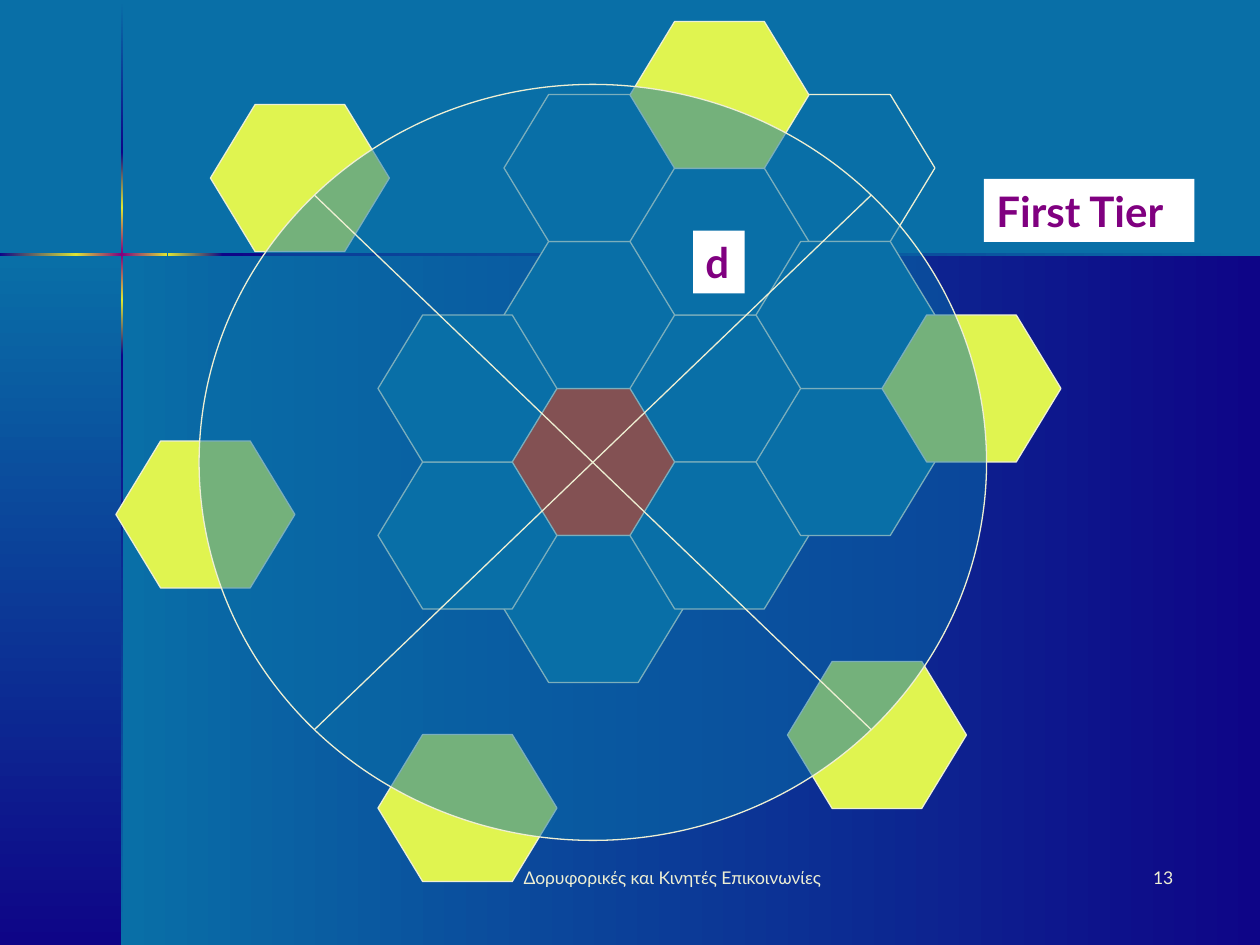
from lxml.etree import SubElement
from pptx import Presentation
from pptx.dml.color import RGBColor
from pptx.enum.shapes import MSO_SHAPE
from pptx.enum.text import PP_ALIGN
from pptx.oxml.ns import qn
from pptx.util import Inches, Pt

RECT = MSO_SHAPE.RECTANGLE
HEX = MSO_SHAPE.HEXAGON
CROSS = MSO_SHAPE.FLOWCHART_SUMMING_JUNCTION
LEFT, MID, RIGHT = PP_ALIGN.LEFT, PP_ALIGN.CENTER, PP_ALIGN.RIGHT

BLUE, NAVY, GOLD, PLUM = "096FA7", "0E0587", "DEE634", "800080"
CREAM, LIME, RED, WHITE = "EEEFD3", "E0F450", "FF3300", "FFFFFF"
DOWN, BACK = 90, 180
WIDE, HIGH = 1.42, 7 / 6
TOP = 1 / 6

BANDS = [
    (0.97, 2.02, 9.03, 5.48, BACK, (NAVY, BLUE)),
    (0, 2.02, 0.97, 5.48, DOWN, (BLUE, NAVY)),
    (0.96, 0.01, 0.02, 1.2, DOWN, (BLUE, NAVY)),
    (0.96, 2.82, 0.02, 4.68, DOWN, (NAVY, BLUE)),
    (1.77, 2.01, 8.23, 0.02, BACK, (BLUE, NAVY)),
    (0.96, 2.38, 0.02, 0.44, DOWN, (GOLD, NAVY)),
    (0.96, 1.21, 0.02, 0.44, DOWN, (NAVY, GOLD)),
    (0.96, 1.65, 0.02, 0.73, DOWN, (GOLD, PLUM, GOLD)),
    (0, 2.01, 0.61, 0.02, BACK, (GOLD, NAVY)),
    (1.33, 2.01, 0.44, 0.02, BACK, (NAVY, GOLD)),
    (0.6, 2.01, 0.73, 0.02, BACK, (GOLD, PLUM, GOLD)),
]
CELLS = [(4, 5), (4, 7), (4, 3), (3, 6), (3, 4), (5, 4), (5, 6),
         (6, 5), (4, 1), (6, 1), (5, 2), (6, 3)]
TIER = [(5, 0.17), (7, 2.5), (1.67, 0.83), (6.25, 5.25), (0.92, 3.5), (3, 5.83)]


def rgb(code):
    """Turn a hex string into a colour."""
    return RGBColor.from_string(code)


def add_form(slide, kind, x, y, w, h):
    """Add a preset shape with no shadow."""
    form = slide.shapes.add_shape(kind, Inches(x), Inches(y), Inches(w), Inches(h))
    form.shadow.inherit = False
    return form


def add_band(slide, x, y, w, h, angle, hues):
    """Add a borderless rectangle with evenly spaced gradient stops."""
    band = add_form(slide, RECT, x, y, w, h)
    band.line.fill.background()
    band.fill.gradient()
    band.fill.gradient_angle = 360 - angle
    stops = next(band._element.iter(qn("a:gsLst")))
    for stop in list(stops):
        stops.remove(stop)
    for i, hue in enumerate(hues):
        stop = SubElement(stops, qn("a:gs"), pos=str(100000 * i // (len(hues) - 1)))
        SubElement(stop, qn("a:srgbClr"), val=hue)


def add_lined(slide, kind, x, y, w, h, fill):
    """Add a filled shape with a thin cream outline."""
    form = add_form(slide, kind, x, y, w, h)
    form.fill.solid()
    form.fill.fore_color.rgb = rgb(fill)
    form.line.color.rgb = rgb(CREAM)
    form.line.width = Pt(0.75)
    return form


def add_cell(slide, x, y, fill):
    """Add one hexagonal cell."""
    cell = add_lined(slide, HEX, x, y, WIDE, HIGH, fill)
    cell.adjustments[0] = 0.304


def add_ring(slide):
    """Add the half-clear circle with its diagonals."""
    ring = add_lined(slide, CROSS, 1.58, 0.67, 6.25, 6, BLUE)
    hue = ring._element.spPr.find(qn("a:solidFill")).find(qn("a:srgbClr"))
    SubElement(hue, qn("a:alpha"), val="50000")


def add_text(slide, text, x, y, w, h, size=10, color=CREAM, bold=False,
             align=LEFT, fill=None, wrap=True):
    """Add a text box."""
    box = slide.shapes.add_textbox(Inches(x), Inches(y), Inches(w), Inches(h))
    if fill:
        box.fill.solid()
        box.fill.fore_color.rgb = rgb(fill)
    box.text_frame.word_wrap = wrap
    par = box.text_frame.paragraphs[0]
    par.alignment = align
    run = par.add_run()
    run.text = text
    font = run.font
    font.name, font.size, font.bold = "Lato", Pt(size), bold
    font.color.rgb = rgb(color)


def main():
    """Build the slide and save it."""
    deck = Presentation()
    deck.slide_width, deck.slide_height = Inches(10), Inches(7.5)
    slide = deck.slides.add_slide(deck.slide_layouts[6])
    slide.background.fill.solid()
    slide.background.fill.fore_color.rgb = rgb(BLUE)
    for band in BANDS:
        add_band(slide, *band)
    for i, (col, row) in enumerate(CELLS):
        add_cell(slide, col, TOP + row * HIGH / 2, BLUE if i else RED)
    for x, y in TIER:
        add_cell(slide, x, y, LIME)
    add_ring(slide)
    label = dict(size=24, color=PLUM, bold=True, fill=WHITE, wrap=False)
    add_text(slide, "First Tier", 7.81, 1.42, 1.67, 0.5, **label)
    add_text(slide, "d", 5.5, 1.83, 0.41, 0.5, **label)
    add_text(slide, "Δορυφορικές και Κινητές Επικοινωνίες",
             3.75, 6.83, 3.17, 0.5, align=MID)
    add_text(slide, "13", 7.33, 6.83, 2.08, 0.5, align=RIGHT)
    deck.save("out.pptx")


if __name__ == "__main__":
    main()
